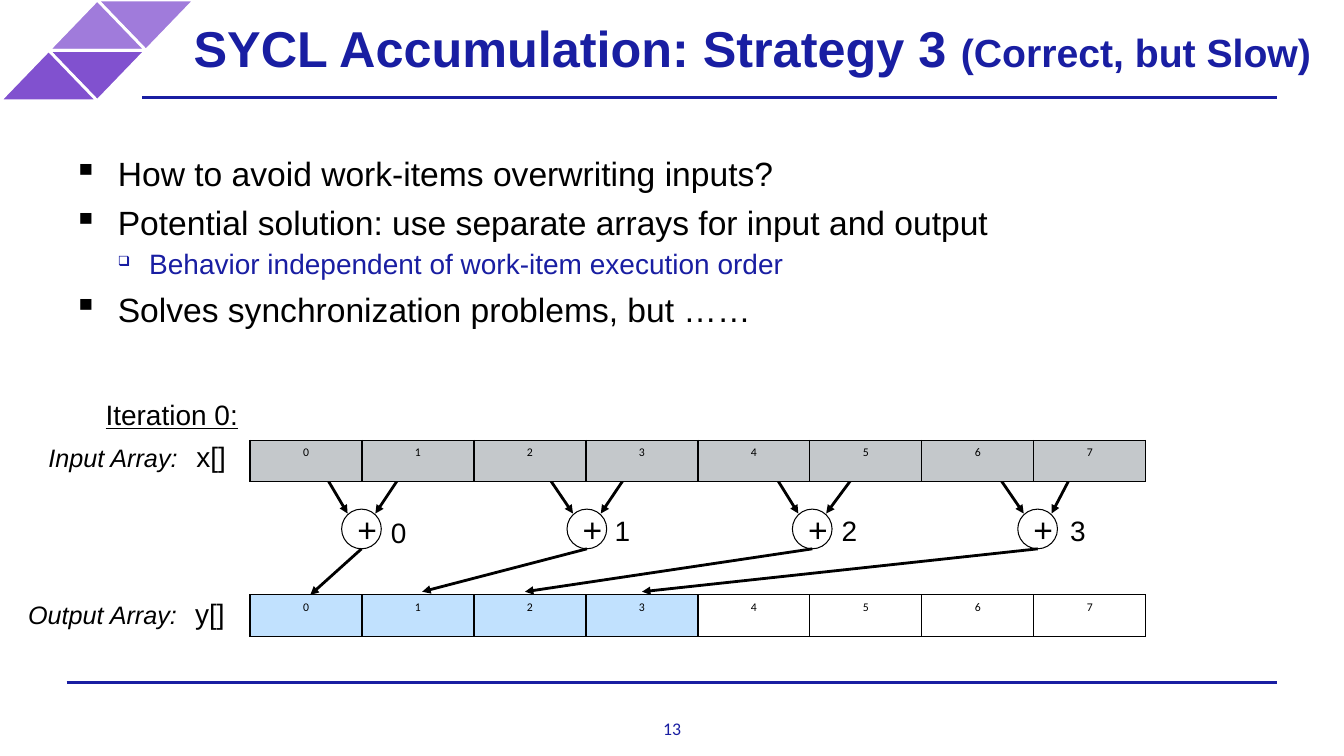
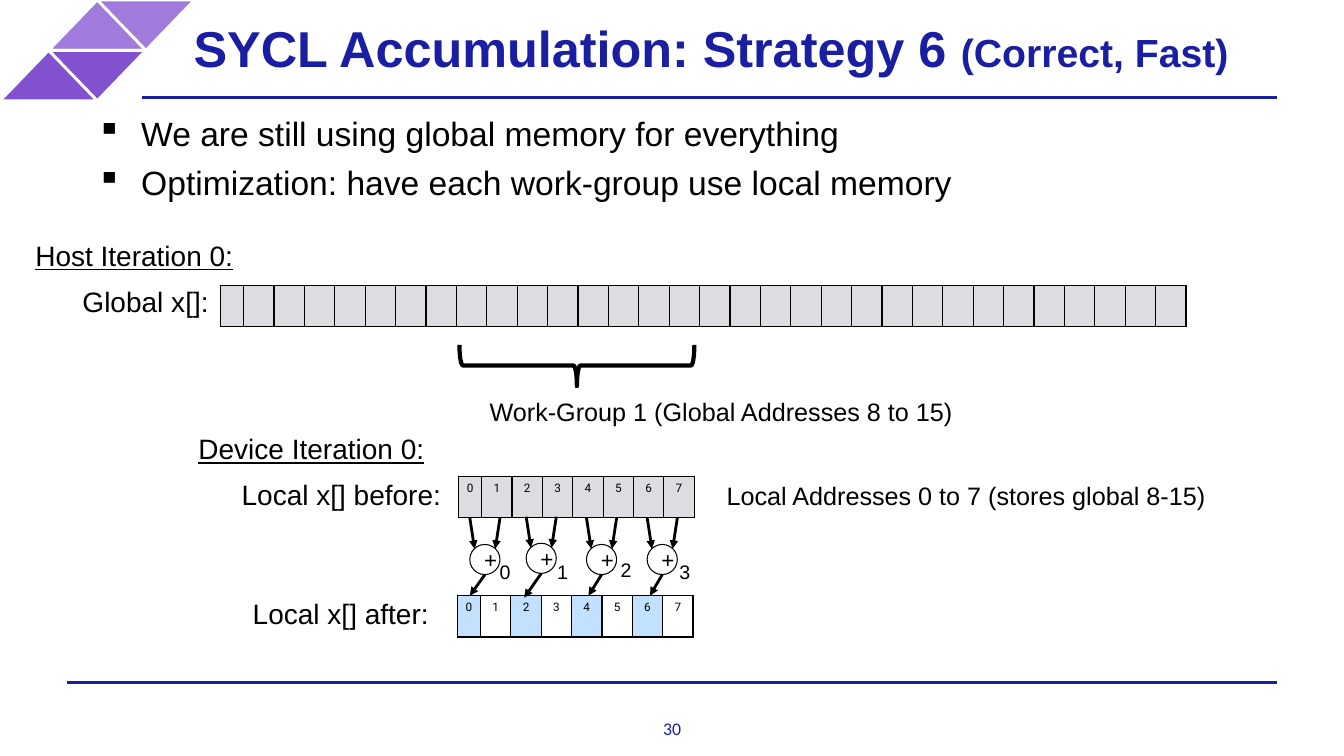
"""Two slides on SYCL accumulation strategies."""
from dataclasses import dataclass
from typing import NamedTuple

from lxml.etree import SubElement
from pptx import Presentation
from pptx.dml.color import RGBColor
from pptx.enum.shapes import MSO_CONNECTOR as LINE, MSO_SHAPE as SHAPE
from pptx.enum.text import MSO_ANCHOR as ANCHOR, MSO_AUTO_SIZE as AUTO, PP_ALIGN as ALIGN
from pptx.oxml.ns import qn
from pptx.util import Cm, Pt


@dataclass(frozen=True)
class Theme:
    """Colours, fonts and type sizes of the deck."""
    navy: str = "191EA2"
    black: str = "000000"
    white: str = "FFFFFF"
    lilac: str = "A07BDB"
    purple: str = "8151CF"
    grey: str = "C4C8CB"
    light_grey: str = "DCDDE0"
    sky: str = "C1E1FE"
    font: str = "Arial"
    number_font: str = "Calibri"
    local_font: str = "Roboto"
    title: float = 36
    subtitle: float = 28
    body: float = 24
    label: float = 20
    caption: float = 18
    plus_small: float = 16
    digit_small: float = 14
    page: float = 12.7
    cell: float = 8.4


T = Theme()


class Bullet(NamedTuple):
    """Format of one bullet level."""
    char: str
    percent: int
    margin: float
    hanging: float
    before: float
    size: float
    color: str


BULLETS = (Bullet("▪", 100, 1.27, 1.12, 6, T.body, T.black),
           Bullet("❑", 50, 2.06, 0.79, 3, T.label, T.navy))


class Adder(NamedTuple):
    """Places of one adder, its arrows and its number, in centimetres."""
    x: float
    y: float
    left: float
    right: float
    out: tuple
    number: tuple


def rgb(color):
    """Turn a hex string into a colour."""
    return RGBColor.from_string(color)


def write(p, text, size=T.label, color=T.black, font=T.font, **style):
    """Add a formatted run to a paragraph."""
    r = p.add_run()
    r.text = text
    f = r.font
    f.size, f.name, f.color.rgb = Pt(size), font, rgb(color)
    for name, value in style.items():
        setattr(f, name, value)


def set_insets(tf, inset):
    """Give all four sides of a text frame one inset."""
    for side in ("left", "top", "right", "bottom"):
        setattr(tf, f"margin_{side}", Cm(inset))


def text_frame(s, x, y, w, h):
    """Add a wrapping text box and return its frame."""
    tf = s.shapes.add_textbox(Cm(x), Cm(y), Cm(w), Cm(h)).text_frame
    tf.word_wrap = True
    return tf


def label(s, text, x, y, w, **fmt):
    """Add a one-line label."""
    p = text_frame(s, x, y, w, 0.97).paragraphs[0]
    p.line_spacing = Pt(20)
    write(p, text, **fmt)


def shape(s, kind, x, y, w, h, fill=None, line=T.black, width=0.75):
    """Add a preset shape without shadow."""
    sp = s.shapes.add_shape(kind, Cm(x), Cm(y), Cm(w), Cm(h))
    sp.shadow.inherit = False
    if fill:
        sp.fill.solid()
        sp.fill.fore_color.rgb = rgb(fill)
    else:
        sp.fill.background()
    sp.line.color.rgb, sp.line.width = rgb(line), Pt(width)
    return sp


def line(s, start, end, color=T.black, arrow=False):
    """Add a straight line, with an arrowhead at its end if asked."""
    c = s.shapes.add_connector(LINE.STRAIGHT, *(Cm(v) for v in (*start, *end)))
    c.line.color.rgb, c.line.width = rgb(color), Pt(2)
    if arrow:
        SubElement(c.line._get_or_add_ln(), qn("a:tailEnd"), type="triangle")
    SubElement(c._element.spPr, qn("a:effectLst"))


def bullets(s, x, y, w, h, items):
    """Add a bulleted list from (level, text) pairs."""
    tf = text_frame(s, x, y, w, h)
    set_insets(tf, 0)
    for i, (level, text) in enumerate(items):
        b = BULLETS[level]
        p = tf.add_paragraph() if i else tf.paragraphs[0]
        p.level = level
        if i:
            p.space_before = Pt(b.before)
        pPr = p._p.get_or_add_pPr()
        pPr.set("marL", str(Cm(b.margin)))
        pPr.set("indent", str(-Cm(b.hanging)))
        SubElement(pPr, qn("a:buSzPct"), val=str(b.percent * 1000))
        SubElement(pPr, qn("a:buChar"), char=b.char)
        write(p, text, size=b.size, color=b.color)


def set_borders(cell):
    """Draw thin black borders round a table cell."""
    tcPr = cell._tc.get_or_add_tcPr()
    for side in "LRTB":
        ln = SubElement(tcPr, qn(f"a:ln{side}"), w=str(Pt(1)))
        fill = SubElement(ln, qn("a:solidFill"))
        SubElement(fill, qn("a:srgbClr"), val=T.black)


def array(s, x, y, w, fills, first=None, font=None):
    """Add a one-row table of array elements, numbered if a font is given."""
    n, h = len(fills), 1.04
    tbl = s.shapes.add_table(1, n, Cm(x), Cm(y), Cm(w), Cm(h)).table
    tbl.first_row = tbl.horz_banding = False
    first = first or w / n
    for i, fill in enumerate(fills):
        tbl.columns[i].width = Cm((w - first) / (n - 1) if i else first)
        cell = tbl.cell(0, i)
        cell.margin_left = cell.margin_right = cell.margin_bottom = 0
        set_borders(cell)
        cell.fill.solid()
        cell.fill.fore_color.rgb = rgb(fill)
        if font:
            p = cell.text_frame.paragraphs[0]
            p.alignment = ALIGN.CENTER
            write(p, str(i), size=T.cell, font=font)


def adders(s, items, d, top, inset, plus, digit):
    """Draw numbered adders with two arrows in and one arrow out."""
    for i, a in enumerate(items):
        sp = shape(s, SHAPE.OVAL, a.x, a.y, d, d)
        tf = sp.text_frame
        tf.vertical_anchor = ANCHOR.MIDDLE
        tf.paragraphs[0].alignment = ALIGN.LEFT
        write(tf.paragraphs[0], "+", size=plus)
        tip = a.y + 0.11
        line(s, (a.left, a.y - top), (a.x + inset, tip), arrow=True)
        line(s, (a.right, a.y - top), (a.x + d - inset, tip), arrow=True)
        line(s, (a.x + d / 2, a.y + d), a.out, arrow=True)
        label(s, str(i), *a.number, 0.74, size=digit)


def base_slide(prs, title, remark, page):
    """Add a slide with ornament, rules, title and page number."""
    s = prs.slides.add_slide(prs.slide_layouts[5])
    line(s, (1.68, 17.2), (32.18, 17.2), T.navy)
    w, h = 2.45, 1.27
    for col, row, turn, fill in ((2, 0, 180, T.lilac), (1, 0, 0, T.lilac),
                                 (1, 1, 180, T.purple), (0, 1, 0, T.purple)):
        sp = shape(s, SHAPE.ISOSCELES_TRIANGLE, col * w / 2, row * h, w, h,
                   fill, T.white, 2)
        sp.rotation = turn
    line(s, (3.58, 2.46), (32.18, 2.46), T.navy)

    sp = s.shapes.title
    sp.left, sp.top, sp.width, sp.height = Cm(4.52), Cm(0), Cm(29.34), Cm(2.41)
    tf = sp.text_frame
    tf.auto_size, tf.word_wrap = AUTO.NONE, True
    tf.vertical_anchor = ANCHOR.MIDDLE
    set_insets(tf, 0.36)
    p = tf.paragraphs[0]
    p.alignment = ALIGN.LEFT
    write(p, f"{title} ", size=T.title, color=T.navy, bold=True)
    write(p, remark, size=T.subtitle, color=T.navy, bold=True)

    tf = text_frame(s, 15.94, 18.08, 2, 0.53)
    set_insets(tf, 0)
    tf.paragraphs[0].alignment = ALIGN.CENTER
    write(tf.paragraphs[0], page, size=T.page, color=T.navy, font=T.number_font)
    return s


def strategy_3(prs):
    """Build the slide on separate input and output arrays."""
    s = base_slide(prs, "SYCL Accumulation: Strategy 3", "(Correct, but Slow)", "13")
    bullets(s, 1.7, 3.86, 31.8, 6, (
        (0, "How to avoid work-items overwriting inputs?"),
        (0, "Potential solution: use separate arrays for input and output"),
        (1, "Behavior independent of work-item execution order"),
        (0, "Solves synchronization problems, but ……")))
    places = ((7.82, 10.52, (7.82, 14.99), (9.6, 13)),
              (13.36, 16.21, (10.64, 14.91), (15.24, 12.95)),
              (19.13, 22, (13.23, 14.91), (20.96, 12.95)),
              (24.71, 27.33, (16.18, 14.91), (26.72, 12.95)))
    adders(s, [Adder(8.61 + 5.68 * i, 12.83, *p) for i, p in enumerate(places)],
           d=1, top=1.48, inset=0.15, plus=T.body, digit=T.label)
    array(s, 6.3, 11.1, 22.58, [T.grey] * 8, font=T.number_font)
    array(s, 6.3, 14.99, 22.58, [T.sky] * 4 + [T.white] * 4, font=T.number_font)
    label(s, "Iteration 0:", 2.41, 10.03, 3.87, underline=True)
    label(s, "x[]", 4.7, 11.1, 1.6)
    label(s, "y[]", 4.67, 15.04, 1.6)
    label(s, "Input Array:", 0.97, 11.07, 4.5, size=T.caption, italic=True)
    label(s, "Output Array:", 0.46, 15.04, 4.5, size=T.caption, italic=True)


def strategy_6(prs):
    """Build the slide on local memory in each work-group."""
    s = base_slide(prs, "SYCL Accumulation: Strategy 6", "(Correct, Fast)", "30")
    bullets(s, 2.29, 2.84, 30.66, 3, (
        (0, "We are still using global memory for everything"),
        (0, "Optimization: have each work-group use local memory")))
    array(s, 5.56, 7.19, 24.33, [T.light_grey] * 32, first=0.58)
    sp = shape(s, SHAPE.LEFT_BRACE, 14.02, 6.25, 1.04, 5.92, width=3)
    sp.rotation = 270
    array(s, 11.56, 12.01, 5.94, [T.light_grey] * 8, 0.58, T.local_font)
    array(s, 11.53, 15.01, 5.94, [T.sky, T.white] * 4, 0.58, T.local_font)
    d = 0.76
    places = ((11.84, 13.72, (11.84, 15.01), (12.34, 13.87)),
              (13.26, 13.69, (13.21, 15.06), (13.79, 13.87)),
              (14.78, 13.72, (14.83, 15.01), (15.39, 13.82)),
              (16.31, 13.72, (16.38, 15.01), (16.87, 13.87)))
    adders(s, [Adder(x, y, x, x + d, out, number) for x, y, out, number in places],
           d=d, top=0.67, inset=0.12, plus=T.plus_small, digit=T.digit_small)
    label(s, "Host Iteration 0:", 0.64, 6.02, 5.89, underline=True)
    label(s, "Global x[]:", 1.83, 7.19, 3.86)
    label(s, "Work-Group 1 (Global Addresses 8 to 15)", 12.09, 9.93, 13.34, size=T.caption)
    label(s, "Device Iteration 0:", 4.75, 10.9, 6.6, underline=True)
    label(s, "Local x[] before:", 5.84, 12.04, 5.72)
    label(s, "Local x[] after:", 6.12, 15.06, 5.72)
    label(s, "Local Addresses 0 to 7 (stores global 8-15)", 18.06, 12.04, 13.51, size=T.caption)


def main():
    """Build and save the deck."""
    prs = Presentation()
    prs.slide_width, prs.slide_height = Cm(33.87), Cm(19.05)
    strategy_3(prs)
    strategy_6(prs)
    prs.save("out.pptx")


if __name__ == "__main__":
    main()
